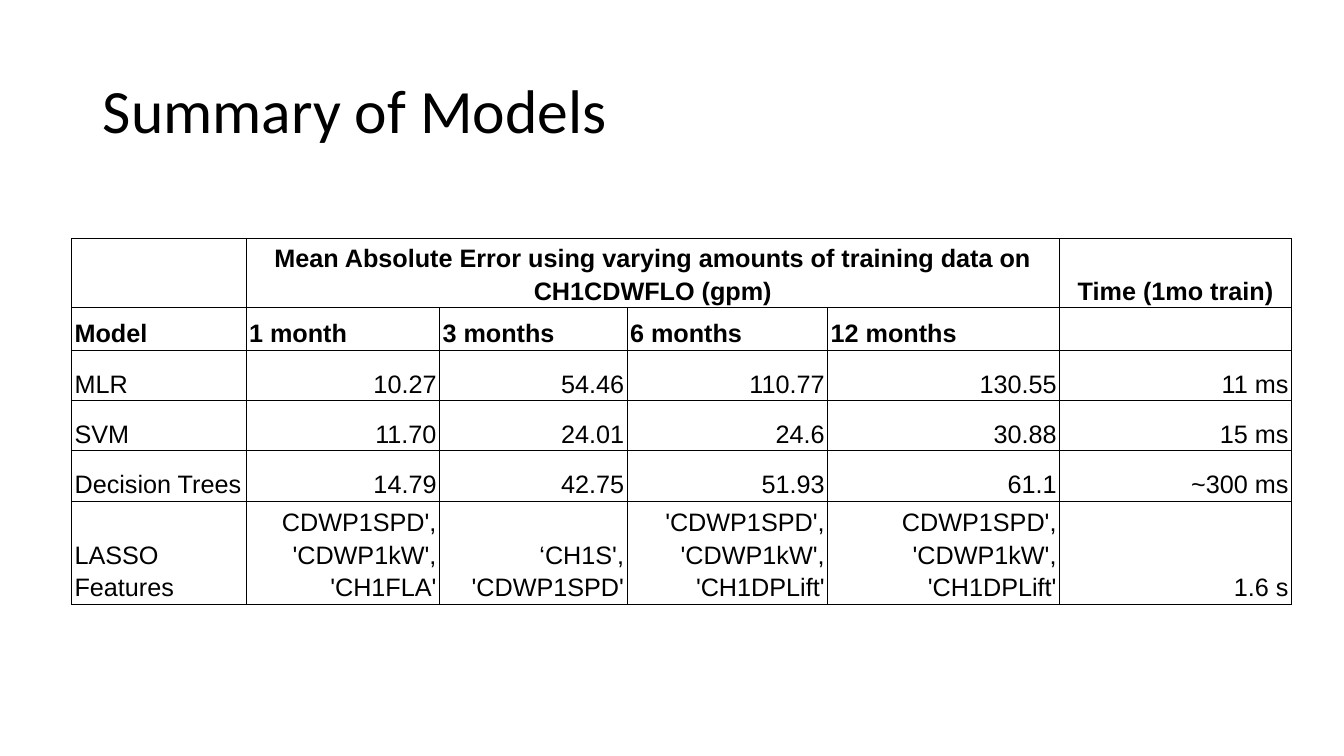
from dataclasses import dataclass

import lxml.etree
import pptx
import pptx.dml.color
import pptx.enum.text
import pptx.oxml.ns
import pptx.slide
import pptx.table
import pptx.text.text
import pptx.util

Inches = pptx.util.Inches
Align = pptx.enum.text.PP_ALIGN
Anchor = pptx.enum.text.MSO_ANCHOR


@dataclass(frozen=True)
class Theme:
    title_font: str = "Calibri"
    table_font: str = "Arial"
    title_size: float = 44
    table_size: float = 18
    border_width: float = 0.75
    ink: str = "000000"


@dataclass(frozen=True)
class ModelRow:
    height: float
    texts: tuple[str, ...]
    label_align: Align = Align.LEFT
    value_align: Align = Align.RIGHT
    bold: bool = False
    line_spacing: float = 1.15


THEME = Theme()
TABLE_LEFT, TABLE_TOP = 0.71, 2.37
COLUMN_WIDTHS = (1.73, 1.92, 1.86, 1.99, 2.3, 2.3)
ERROR_HEADING = "Mean Absolute Error using varying amounts of training data on CH1CDWFLO (gpm)"
ROWS = (
    ModelRow(0.68, ("", ERROR_HEADING, "", "", "", "Time (1mo train)"),
             value_align=Align.CENTER, bold=True),
    ModelRow(0.42, ("Model", "1 month", "3 months", "6 months", "12 months", ""),
             value_align=Align.LEFT, bold=True),
    ModelRow(0.5, ("MLR", "10.27", "54.46", "110.77", "130.55", "11 ms"), line_spacing=1),
    ModelRow(0.5, ("SVM", "11.70", "24.01", "24.6", "30.88", "15 ms")),
    ModelRow(0.5, ("Decision Trees", "14.79", "42.75", "51.93", "61.1", "~300 ms")),
    ModelRow(1.02, ("LASSO Features", "CDWP1SPD', 'CDWP1kW', 'CH1FLA'", "‘CH1S', 'CDWP1SPD'",
                    "'CDWP1SPD', 'CDWP1kW', 'CH1DPLift'",
                    "CDWP1SPD', 'CDWP1kW', 'CH1DPLift'", "1.6 s")),
)


def write_text(frame: pptx.text.text.TextFrame, text: str, *, font: str, size: float,
               align: Align = Align.LEFT, bold: bool = False, line_spacing: float = 1) -> None:
    paragraph = frame.paragraphs[0]
    paragraph.alignment = align
    paragraph.line_spacing = line_spacing
    run = paragraph.add_run()
    run.text = text
    run.font.name = font
    run.font.size = pptx.util.Pt(size)
    run.font.bold = bold
    run.font.color.rgb = pptx.dml.color.RGBColor.from_string(THEME.ink)


def draw_borders(cell: pptx.table._Cell) -> None:
    qualified = pptx.oxml.ns.qn
    properties = cell._tc.get_or_add_tcPr()
    for side in ("lnL", "lnR", "lnT", "lnB"):
        line = lxml.etree.SubElement(properties, qualified(f"a:{side}"),
                                     w=str(int(pptx.util.Pt(THEME.border_width))))
        fill = lxml.etree.SubElement(line, qualified("a:solidFill"))
        lxml.etree.SubElement(fill, qualified("a:srgbClr"), val=THEME.ink)


def format_cell(cell: pptx.table._Cell) -> None:
    draw_borders(cell)
    cell.fill.background()
    cell.margin_left = cell.margin_right = Inches(0.03)
    cell.margin_top = cell.margin_bottom = Inches(0.02)
    cell.vertical_anchor = Anchor.BOTTOM


def add_title(slide: pptx.slide.Slide, text: str) -> None:
    title = slide.shapes.title
    title.left, title.top = Inches(0.92), Inches(0.4)
    title.width, title.height = Inches(11.5), Inches(1.45)
    frame = title.text_frame
    frame.margin_left = frame.margin_right = Inches(0.1)
    frame.margin_top = frame.margin_bottom = Inches(0.1)
    frame.vertical_anchor = Anchor.MIDDLE
    write_text(frame, text, font=THEME.title_font, size=THEME.title_size, line_spacing=0.9)


def add_model_table(slide: pptx.slide.Slide, rows: tuple[ModelRow, ...]) -> None:
    table = slide.shapes.add_table(
        len(rows), len(COLUMN_WIDTHS), Inches(TABLE_LEFT), Inches(TABLE_TOP),
        Inches(sum(COLUMN_WIDTHS)), Inches(sum(row.height for row in rows))).table
    table.first_row = table.horz_banding = False
    for column, width in zip(table.columns, COLUMN_WIDTHS):
        column.width = Inches(width)
    for row_index, row in enumerate(rows):
        table.rows[row_index].height = Inches(row.height)
        for column_index, text in enumerate(row.texts):
            cell = table.cell(row_index, column_index)
            format_cell(cell)
            if text:
                write_text(cell.text_frame, text, font=THEME.table_font, size=THEME.table_size,
                           align=row.value_align if column_index else row.label_align,
                           bold=row.bold, line_spacing=row.line_spacing)
    table.cell(0, 1).merge(table.cell(0, 4))


def main() -> None:
    presentation = pptx.Presentation()
    presentation.slide_width, presentation.slide_height = Inches(13.33), Inches(7.5)
    slide = presentation.slides.add_slide(presentation.slide_layouts.get_by_name("Title Only"))
    add_title(slide, "Summary of Models")
    add_model_table(slide, ROWS)
    presentation.save("out.pptx")


if __name__ == "__main__":
    main()
